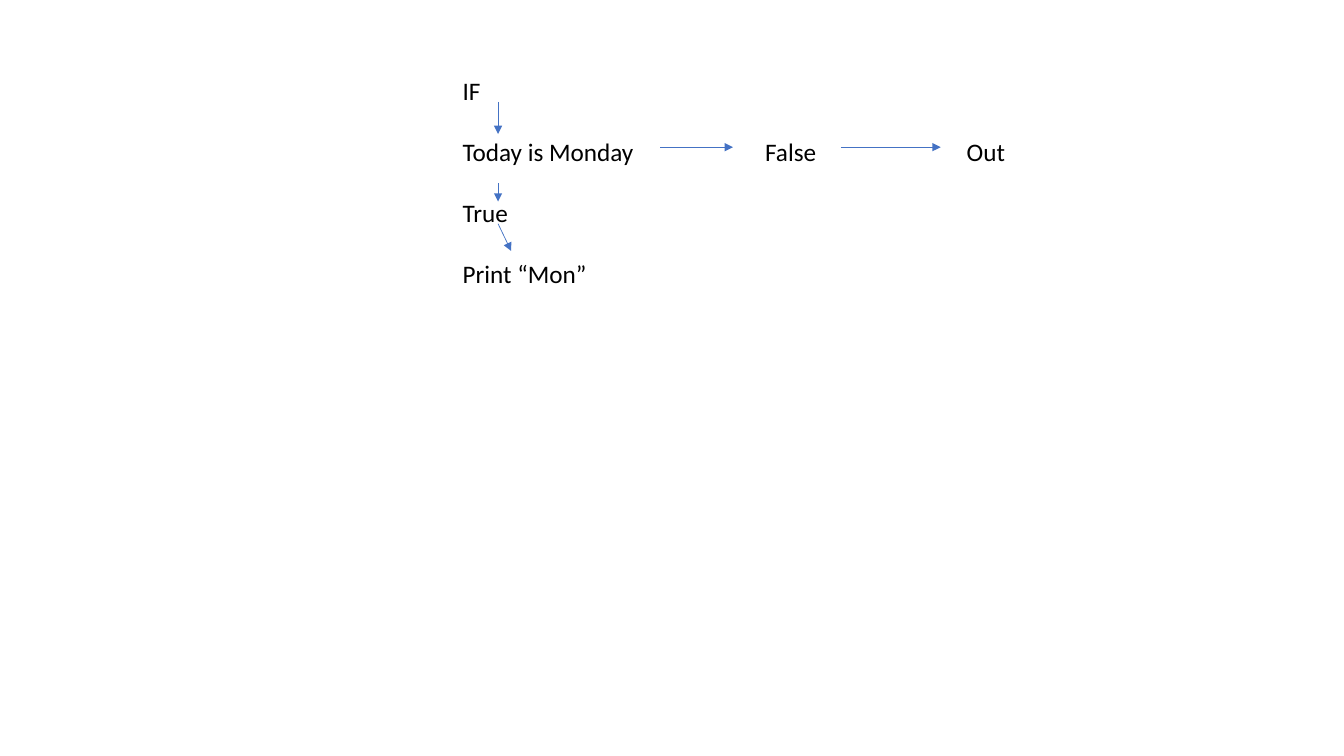
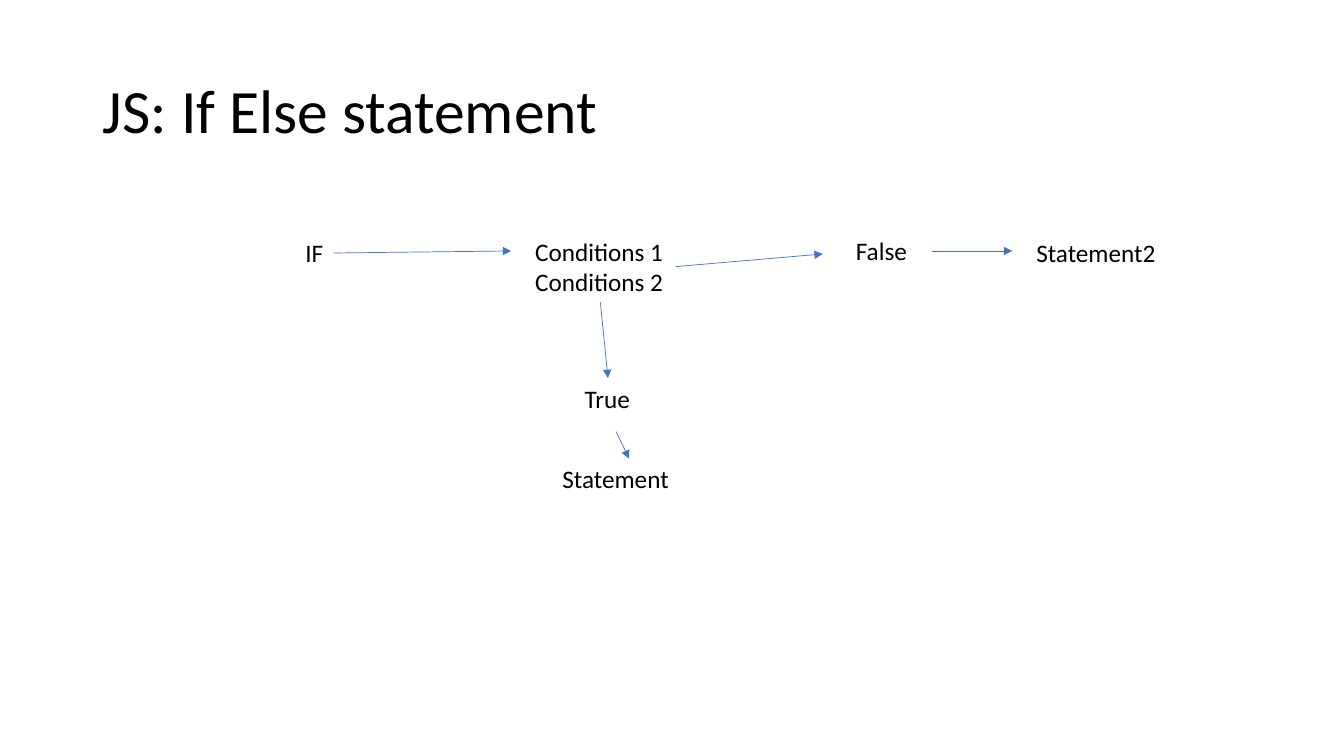
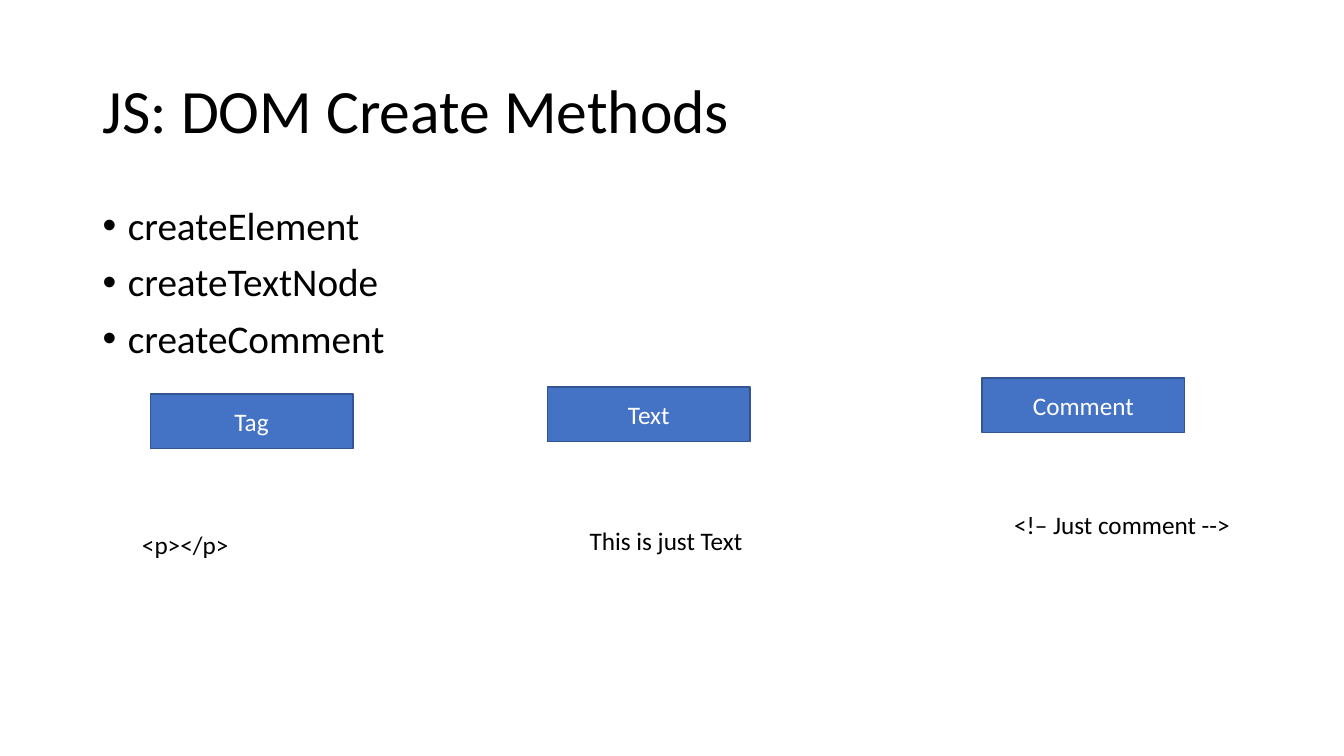
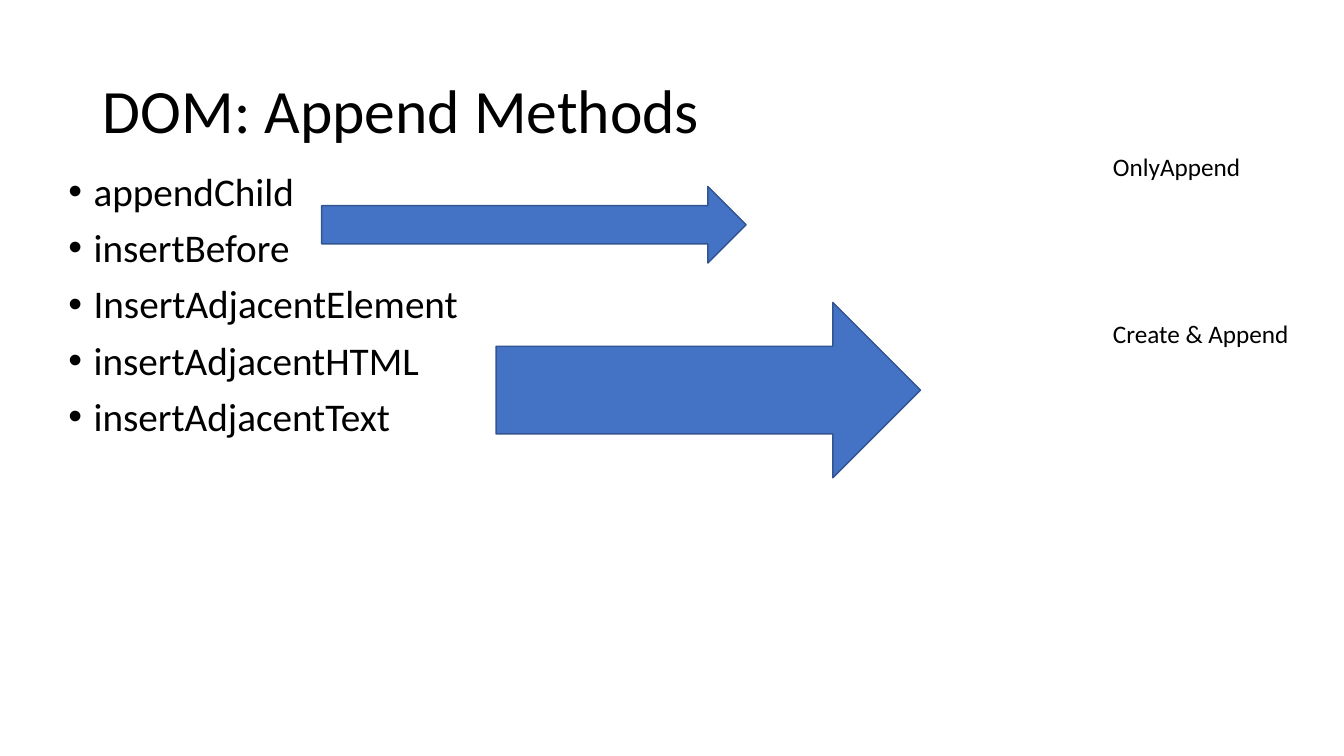
from dataclasses import dataclass
from typing import Optional

from lxml import etree
from pptx import Presentation
from pptx.dml.color import RGBColor
from pptx.enum import shapes, text
from pptx.oxml import ns
from pptx.util import Inches, Pt


# Theme
@dataclass(frozen=True)
class Theme:
    font: str = "Calibri"
    ink: RGBColor = RGBColor(0x00, 0x00, 0x00)
    white: RGBColor = RGBColor(0xFF, 0xFF, 0xFF)
    accent: RGBColor = RGBColor(0x44, 0x72, 0xC4)
    outline: RGBColor = RGBColor(0x32, 0x54, 0x91)
    title_size: int = 44
    bullet_size: int = 28
    label_size: int = 18


THEME = Theme()
TITLE_ONLY, BLANK = 5, 6
TOP, LEFT, BOTTOM, RIGHT = range(4)
RECT = shapes.MSO_SHAPE.RECTANGLE
RIGHT_ARROW = shapes.MSO_SHAPE.RIGHT_ARROW


# Repeated elements, with lengths in inches
@dataclass(frozen=True)
class Label:
    lines: tuple[str, ...]
    x: float
    y: float
    w: float
    h: float = 0.4
    gap: float = 0  # points between paragraphs
    tabs: tuple[float, ...] = ()


@dataclass(frozen=True)
class Joint:
    name: str
    side: int


@dataclass(frozen=True)
class Arrow:
    x1: float
    y1: float
    x2: float
    y2: float
    start: Optional[Joint] = None
    end: Optional[Joint] = None


@dataclass(frozen=True)
class Block:
    kind: shapes.MSO_SHAPE
    x: float
    y: float
    w: float
    h: float
    caption: str = ""


# Drawing functions
def add_run(p, content: str, size: int, color: RGBColor = THEME.ink) -> None:
    r = p.add_run()
    r.text = content
    r.font.name = THEME.font
    r.font.size = Pt(size)
    r.font.color.rgb = color


def next_paragraph(tf, index: int, gap: float):
    if index == 0:
        return tf.paragraphs[0]
    p = tf.add_paragraph()
    p.space_before = Pt(gap)
    return p


def new_slide(prs, title: str = ""):
    s = prs.slides.add_slide(prs.slide_layouts[TITLE_ONLY if title else BLANK])
    if title:
        sp = s.shapes.title
        sp.left, sp.top = Inches(0.92), Inches(0.4)
        sp.width, sp.height = Inches(11.5), Inches(1.45)
        tf = sp.text_frame
        tf.auto_size = text.MSO_AUTO_SIZE.NONE
        tf.vertical_anchor = text.MSO_ANCHOR.MIDDLE
        p = tf.paragraphs[0]
        p.alignment = text.PP_ALIGN.LEFT
        p.line_spacing = 0.9
        add_run(p, title, THEME.title_size)
    return s


def add_label(s, label: Label):
    sp = s.shapes.add_textbox(Inches(label.x), Inches(label.y),
                              Inches(label.w), Inches(label.h))
    tf = sp.text_frame
    tf.word_wrap = False
    tf.auto_size = text.MSO_AUTO_SIZE.SHAPE_TO_FIT_TEXT
    for i, line in enumerate(label.lines):
        p = next_paragraph(tf, i, label.gap)
        if "\t" in line:
            stops = etree.SubElement(p._p.get_or_add_pPr(), ns.qn("a:tabLst"))
            for stop in label.tabs:
                etree.SubElement(stops, ns.qn("a:tab"),
                                 pos=str(Inches(stop)), algn="l")
        add_run(p, line, THEME.label_size)
    return sp


def add_bullets(s, x: float, y: float, items: tuple[str, ...]) -> None:
    sp = s.shapes.add_textbox(Inches(x), Inches(y), Inches(11.5), Inches(4.76))
    tf = sp.text_frame
    tf.word_wrap = True
    for i, item in enumerate(items):
        p = next_paragraph(tf, i, 10)
        p.line_spacing = 0.9
        pPr = p._p.get_or_add_pPr()
        pPr.set("marL", str(Inches(0.25)))
        pPr.set("indent", str(-Inches(0.25)))
        etree.SubElement(pPr, ns.qn("a:buFont"), typeface="Arial")
        etree.SubElement(pPr, ns.qn("a:buChar"), char="•")
        add_run(p, item, THEME.bullet_size)


def add_arrow(s, arrow: Arrow, boxes: dict) -> None:
    c = s.shapes.add_connector(shapes.MSO_CONNECTOR.STRAIGHT,
                               Inches(arrow.x1), Inches(arrow.y1),
                               Inches(arrow.x2), Inches(arrow.y2))
    if arrow.start:
        c.begin_connect(boxes[arrow.start.name], arrow.start.side)
    if arrow.end:
        c.end_connect(boxes[arrow.end.name], arrow.end.side)
    c.line.color.rgb = THEME.accent
    c.line.width = Pt(0.5)
    etree.SubElement(c.line._get_or_add_ln(), ns.qn("a:tailEnd"), type="triangle")
    etree.SubElement(c._element.spPr, ns.qn("a:effectLst"))


def add_block(s, block: Block) -> None:
    sp = s.shapes.add_shape(block.kind, Inches(block.x), Inches(block.y),
                            Inches(block.w), Inches(block.h))
    sp.shadow.inherit = False
    sp.fill.solid()
    sp.fill.fore_color.rgb = THEME.accent
    sp.line.color.rgb = THEME.outline
    sp.line.width = Pt(1)
    if block.caption:
        tf = sp.text_frame
        tf.vertical_anchor = text.MSO_ANCHOR.MIDDLE
        p = tf.paragraphs[0]
        p.alignment = text.PP_ALIGN.CENTER
        add_run(p, block.caption, THEME.label_size, THEME.white)


def add_flow(s, labels: tuple[Label, ...], arrows: tuple[Arrow, ...]) -> None:
    boxes = {label.lines[0]: add_label(s, label) for label in labels}
    for arrow in arrows:
        add_arrow(s, arrow, boxes)


# Slides
def monday_slide(prs) -> None:
    s = new_slide(prs)
    steps = ("IF", "Today is Monday\tFalse\tOut", "True", "Print “Mon”")
    add_flow(s, (Label(steps, 4.49, 0.7, 5.63, 2.22, gap=22, tabs=(3, 5)),), (
        Arrow(4.94, 1.01, 4.94, 1.33),
        Arrow(6.55, 1.46, 7.27, 1.46),
        Arrow(8.34, 1.46, 9.33, 1.46),
        Arrow(4.94, 1.82, 4.94, 2),
        Arrow(4.94, 2.22, 5.07, 2.49),
    ))


def if_else_slide(prs) -> None:
    s = new_slide(prs, "JS: If Else statement")
    add_flow(s, (
        Label(("IF",), 2.93, 2.31, 0.38),
        Label(("Conditions 1", "Conditions 2"), 5.21, 2.29, 1.49, 0.71),
        Label(("True",), 5.7, 3.75, 0.66),
        Label(("False",), 8.39, 2.29, 0.71),
        Label(("Statement",), 5.48, 4.55, 1.27),
        Label(("Statement2",), 10.18, 2.31, 1.4),
    ), (
        Arrow(3.31, 2.52, 5.07, 2.49, start=Joint("IF", RIGHT)),
        Arrow(5.95, 3, 6.03, 3.75, start=Joint("Conditions 1", BOTTOM),
              end=Joint("True", TOP)),
        Arrow(6.7, 2.64, 8.16, 2.52, start=Joint("Conditions 1", RIGHT)),
        Arrow(9.24, 2.49, 10.04, 2.49),
        Arrow(6.11, 4.28, 6.24, 4.55),
    ))


def create_slide(prs) -> None:
    s = new_slide(prs, "JS: DOM Create Methods")
    add_bullets(s, 0.92, 2, ("createElement", "createTextNode", "createComment"))
    for caption, x, y in (("Tag", 1.49, 3.91), ("Text", 5.43, 3.84),
                          ("Comment", 9.74, 3.75)):
        add_block(s, Block(RECT, x, y, 2.01, 0.54, caption))
    for example, x, y, w in (("<p></p>", 1.31, 5.2, 1.07),
                             ("This is just Text", 5.75, 5.16, 1.73),
                             ("<!– Just comment -->", 9.96, 5, 2.37)):
        add_label(s, Label((example,), x, y, w))


def append_slide(prs) -> None:
    s = new_slide(prs, "DOM: Append Methods")
    add_bullets(s, 0.58, 1.66, (
        "appendChild", "insertBefore", "InsertAdjacentElement",
        "insertAdjacentHTML", "insertAdjacentText"))
    add_block(s, Block(RIGHT_ARROW, 3.19, 1.85, 4.21, 0.76))
    add_label(s, Label(("OnlyAppend",), 10.94, 1.45, 1.48))
    add_block(s, Block(RIGHT_ARROW, 4.92, 3, 4.21, 1.74))
    add_label(s, Label(("Create & Append",), 10.94, 3.11, 1.97))


def main() -> None:
    prs = Presentation()
    prs.slide_width, prs.slide_height = Inches(13.33), Inches(7.5)
    for build in (monday_slide, if_else_slide, create_slide, append_slide):
        build(prs)
    prs.save("out.pptx")


if __name__ == "__main__":
    main()
